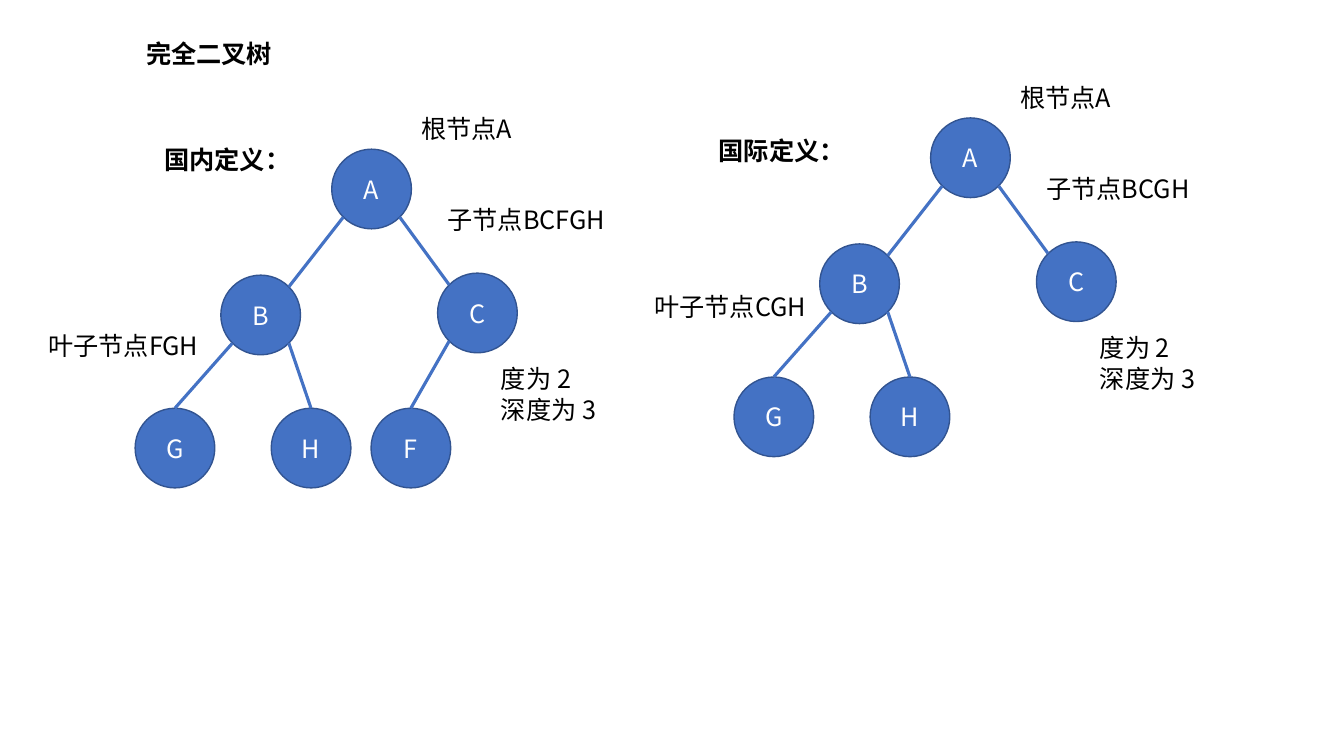
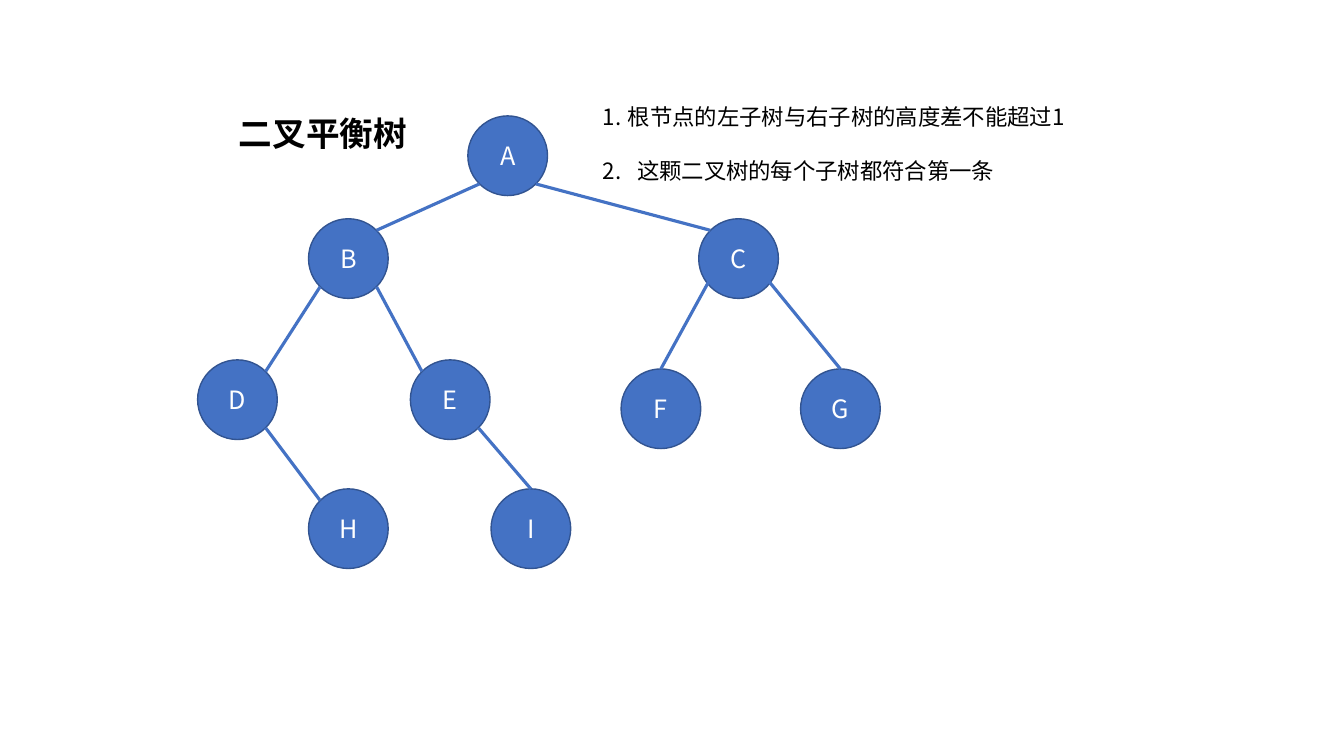
"""Build two slides of binary tree diagrams: complete trees and a balanced tree."""
from lxml.etree import SubElement
from pptx import Presentation
from pptx.dml.color import RGBColor
from pptx.enum.shapes import MSO_CONNECTOR, MSO_SHAPE
from pptx.enum.text import MSO_ANCHOR, PP_ALIGN
from pptx.oxml.ns import qn
from pptx.util import Inches, Pt

COLORS = {"node": "4472C4", "outline": "325491", "text": "000000", "node_text": "FFFFFF"}
FONT = "Noto Sans CJK SC"
SIZE = 0.79
CORNER = 0.28


def add_text(tf, lines, size=18, bold=False, color="text", align=PP_ALIGN.LEFT):
    for i, line in enumerate(lines):
        p = tf.paragraphs[0] if i == 0 else tf.add_paragraph()
        p.alignment = align
        r = p.add_run()
        r.text = line
        r.font.name = FONT
        r.font.size = Pt(size)
        r.font.bold = bold
        r.font.color.rgb = RGBColor.from_string(COLORS[color])
        SubElement(r.font._element, qn("a:ea"), typeface=FONT)


def add_tree(s, nodes, edges):
    for name, (x, y) in nodes.items():
        sp = s.shapes.add_shape(MSO_SHAPE.OVAL, Inches(x), Inches(y), Inches(SIZE), Inches(SIZE))
        sp.shadow.inherit = False
        sp.fill.solid()
        sp.fill.fore_color.rgb = RGBColor.from_string(COLORS["node"])
        sp.line.color.rgb = RGBColor.from_string(COLORS["outline"])
        sp.line.width = Pt(1)
        sp.text_frame.vertical_anchor = MSO_ANCHOR.MIDDLE
        add_text(sp.text_frame, [name], color="node_text", align=PP_ALIGN.CENTER)
    for parent, child, drop, end in edges:
        if parent not in nodes or child not in nodes:
            continue
        x1, y1 = [v + SIZE / 2 for v in nodes[parent]]
        x2, y2 = [v + SIZE / 2 for v in nodes[child]]
        side = CORNER if x2 > x1 else -CORNER
        if end == "corner":
            x2, y2 = x2 - side, y2 - CORNER
        else:
            y2 -= SIZE / 2
        cx = s.shapes.add_connector(MSO_CONNECTOR.STRAIGHT, Inches(x1 + side), Inches(y1 + drop),
                                    Inches(x2), Inches(y2))
        cx.line.color.rgb = RGBColor.from_string(COLORS["node"])
        cx.line.width = Pt(2.25)
        SubElement(cx._element.spPr, qn("a:effectLst"))


prs = Presentation()
prs.slide_width, prs.slide_height = Inches(13.33), Inches(7.5)

s = prs.slides.add_slide(prs.slide_layouts[6])
complete_nodes = {"H": (2.69, 4.05), "A": (3.29, 1.48), "F": (3.68, 4.05),
                  "C": (4.34, 2.71), "B": (2.19, 2.73), "G": (1.34, 4.05)}
complete_edges = [("A", "B", CORNER, "corner"), ("A", "C", CORNER, "corner"),
                  ("C", "F", CORNER, "top"), ("B", "H", CORNER, "top"),
                  ("B", "G", CORNER, "top")]
trees = [
    (0, 0, "ABCFGH", "子节点BCFGH", "叶子节点FGH", (0.38, 3.23), "国内定义：", (1.53, 1.38)),
    (5.94, -0.31, "ABCGH", "子节点BCGH", "叶子节点CGH", (6.39, 2.84), "国际定义：", (7.03, 1.29)),
]
labels = [(1.35, 0.33, 1.58, 0.4, ["完全二叉树"], 18, True)]
for dx, dy, names, children, leaves, leaf_at, heading, heading_at in trees:
    nodes = {n: (x + dx, y + dy) for n, (x, y) in complete_nodes.items() if n in names}
    add_tree(s, nodes, complete_edges)
    labels += [
        (4.08 + dx, 1.08 + dy, 1.3, 0.4, ["根节点A"], 18, False),
        (4.34 + dx, 1.98 + dy, 1.84, 0.4, [children], 18, False),
        (4.87 + dx, 3.56 + dy, 1.48, 0.71, ["度为 2", "深度为 3"], 18, False),
        (*leaf_at, 1.84, 0.4, [leaves], 18, False),
        (*heading_at, 1.58, 0.4, [heading], 18, True),
    ]

balanced = prs.slides.add_slide(prs.slide_layouts[6])
balanced_nodes = {"H": (3.06, 4.85), "A": (4.64, 1.15), "F": (6.16, 3.66),
                  "G": (7.94, 3.66), "C": (6.93, 2.17), "B": (3.06, 2.17),
                  "D": (1.96, 3.57), "E": (4.07, 3.57), "I": (4.87, 4.85)}
balanced_edges = [("A", "B", CORNER, "corner"), ("A", "C", CORNER, "corner"),
                  ("C", "F", 0.2, "top"), ("C", "G", 0.2, "top"),
                  ("D", "H", CORNER, "corner"), ("B", "D", CORNER, "corner"),
                  ("B", "E", CORNER, "corner"), ("E", "I", CORNER, "top")]
add_tree(balanced, balanced_nodes, balanced_edges)
rules = ["根节点的左子树与右子树的高度差不能超过1", "这颗二叉树的每个子树都符合第一条"]
balanced_labels = [(2.27, 1.07, 2.19, 0.5, ["二叉平衡树"], 24, True),
                   (5.88, 0.97, 4.92, 0.91, rules, 16, False)]

for slide, items in ((s, labels), (balanced, balanced_labels)):
    for x, y, w, h, lines, size, bold in items:
        tf = slide.shapes.add_textbox(Inches(x), Inches(y), Inches(w), Inches(h)).text_frame
        tf.word_wrap = True
        add_text(tf, lines, size, bold)

for p, indent in zip(tf.paragraphs, (0.25, 0.34)):
    pPr = p._p.get_or_add_pPr()
    pPr.set("marL", str(Inches(indent)))
    pPr.set("indent", str(-Inches(indent)))
    SubElement(pPr, qn("a:buFont"), typeface=FONT)
    SubElement(pPr, qn("a:buAutoNum"), type="arabicPeriod")
tf.paragraphs[1].space_before = Pt(20)

prs.save("out.pptx")
